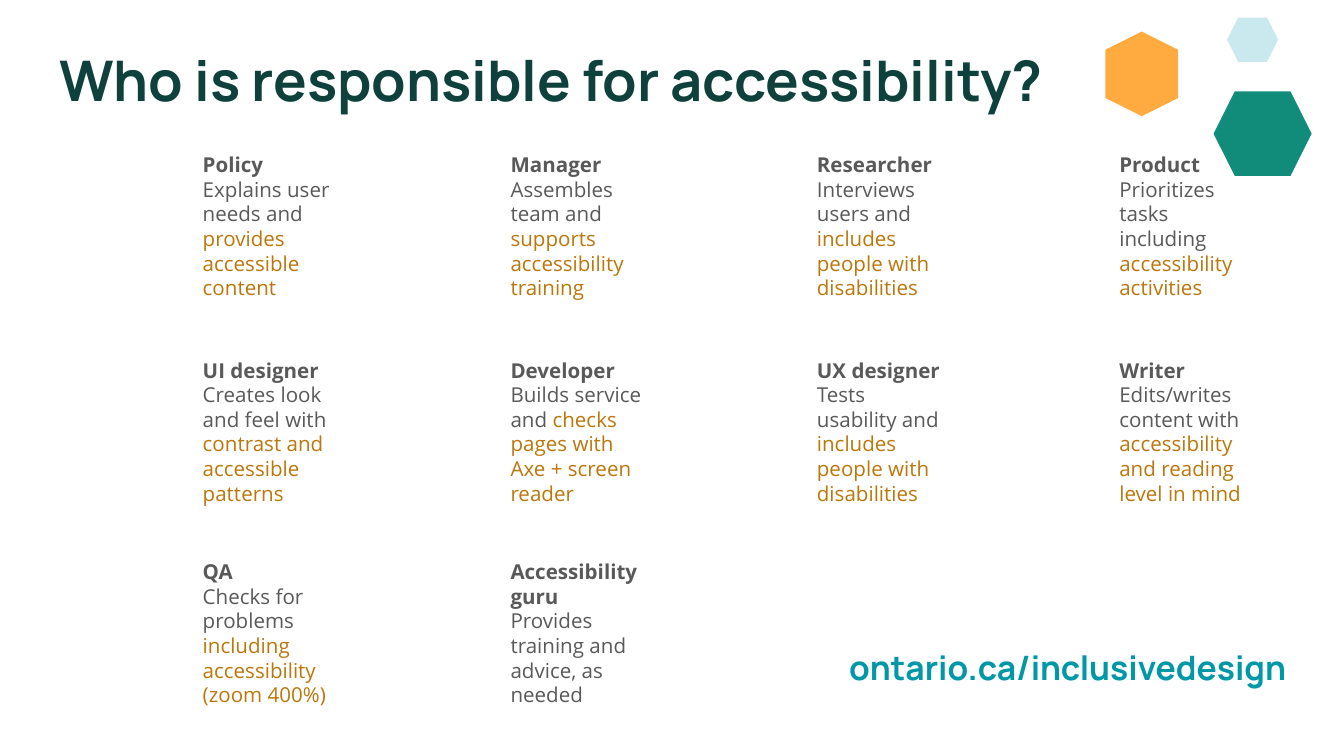
"""Build a slide on who is responsible for accessibility."""
from pptx import Presentation, util as u
from pptx.dml.color import RGBColor
from pptx.enum import shapes, text

GREEN = RGBColor(0x0F, 0x41, 0x3C)
GREY = RGBColor(0x59, 0x59, 0x59)
GOLD = RGBColor(0xBB, 0x77, 0x0B)
BLUE = RGBColor(0x00, 0x97, 0xA7)
TEAL = RGBColor(0x11, 0x8C, 0x7B)
AMBER = RGBColor(0xFF, 0xAB, 0x40)
PALE = RGBColor(0xCA, 0xE9, 0xEE)

WIDTH = 10
TITLE = "Who is responsible for accessibility?"
LINK = "ontario.ca/inclusivedesign"
ROLES = [
    ("Policy", "Explains user needs and ", "provides accessible content"),
    ("Manager", "Assembles team and ", "supports accessibility training"),
    ("Researcher", "Interviews users and ", "includes people with disabilities"),
    ("Product", "Prioritizes tasks including ", "accessibility activities"),
    ("UI designer", "Creates look and feel with ", "contrast and accessible patterns"),
    ("Developer", "Builds service and ", "checks pages with Axe + screen reader"),
    ("UX designer", "Tests usability and ", "includes people with disabilities"),
    ("Writer", "Edits/writes content with ", "accessibility and reading level in mind"),
    ("QA", "Checks for problems ", "including accessibility (zoom 400%)"),
    ("Accessibility guru", "Provides training and advice, as needed", ""),
]
LEFTS = [1.41, 3.7, 5.98, 8.23]
TOPS = [1.03, 2.56, 4.06]
HEXES = [
    (9.03, 0.68, 0.73, 0.63, 0, TEAL),
    (8.18, 0.28, 0.63, 0.54, 90, AMBER),
    (9.13, 0.13, 0.38, 0.33, 180, PALE),
]


def place(shape, *box):
    shape.left, shape.top, shape.width, shape.height = map(u.Inches, box)


def frame(shape):
    body = shape.text_frame
    body.word_wrap = True
    body.auto_size = text.MSO_AUTO_SIZE.NONE
    body.vertical_anchor = text.MSO_ANCHOR.TOP
    body.margin_left = body.margin_right = u.Inches(0.1)
    body.margin_top = body.margin_bottom = u.Inches(0.1)
    return body


def write(para, words, face, size, color, bold):
    run = para.add_run()
    run.text = words
    font = run.font
    font.name, font.size, font.bold = face, u.Pt(size), bold
    font.color.rgb = color


def add_box(slide, *box):
    return frame(slide.shapes.add_textbox(*map(u.Inches, box)))


def add_role(slide, left, top, role, task, focus):
    para = add_box(slide, left, top, 1.18, 1.38).paragraphs[0]
    write(para, role, "Open Sans", 11, GREY, True)
    para.add_line_break()
    write(para, task, "Open Sans", 11, GREY, False)
    if focus:
        write(para, focus, "Open Sans", 11, GOLD, False)


def add_hex(slide, left, top, width, height, turn, color):
    box = map(u.Inches, (left, top, width, height))
    shape = slide.shapes.add_shape(shapes.MSO_SHAPE.HEXAGON, *box)
    shape.rotation = turn
    shape.shadow.inherit = False
    shape.fill.solid()
    shape.fill.fore_color.rgb = color
    shape.line.fill.background()


def main():
    deck = Presentation()
    deck.slide_width = u.Inches(WIDTH)
    deck.slide_height = u.Inches(WIDTH * 9 / 16)
    slide = deck.slides.add_slide(deck.slide_layouts[5])

    title = slide.shapes.title
    place(title, 0.34, 0.24, 9.32, 0.63)
    para = frame(title).paragraphs[0]
    para.alignment = text.PP_ALIGN.LEFT
    write(para, TITLE, "Manrope", 30, GREEN, True)

    for i, role in enumerate(ROLES):
        row, col = divmod(i, len(LEFTS))
        add_role(slide, LEFTS[col], TOPS[row], *role)

    para = add_box(slide, 6.22, 4.67, 3.5, 0.51).paragraphs[0]
    para.line_spacing = 1.15
    para.space_after = u.Pt(16)
    write(para, LINK, "Manrope", 18, BLUE, True)

    for item in HEXES:
        add_hex(slide, *item)
    deck.save("out.pptx")


if __name__ == "__main__":
    main()
